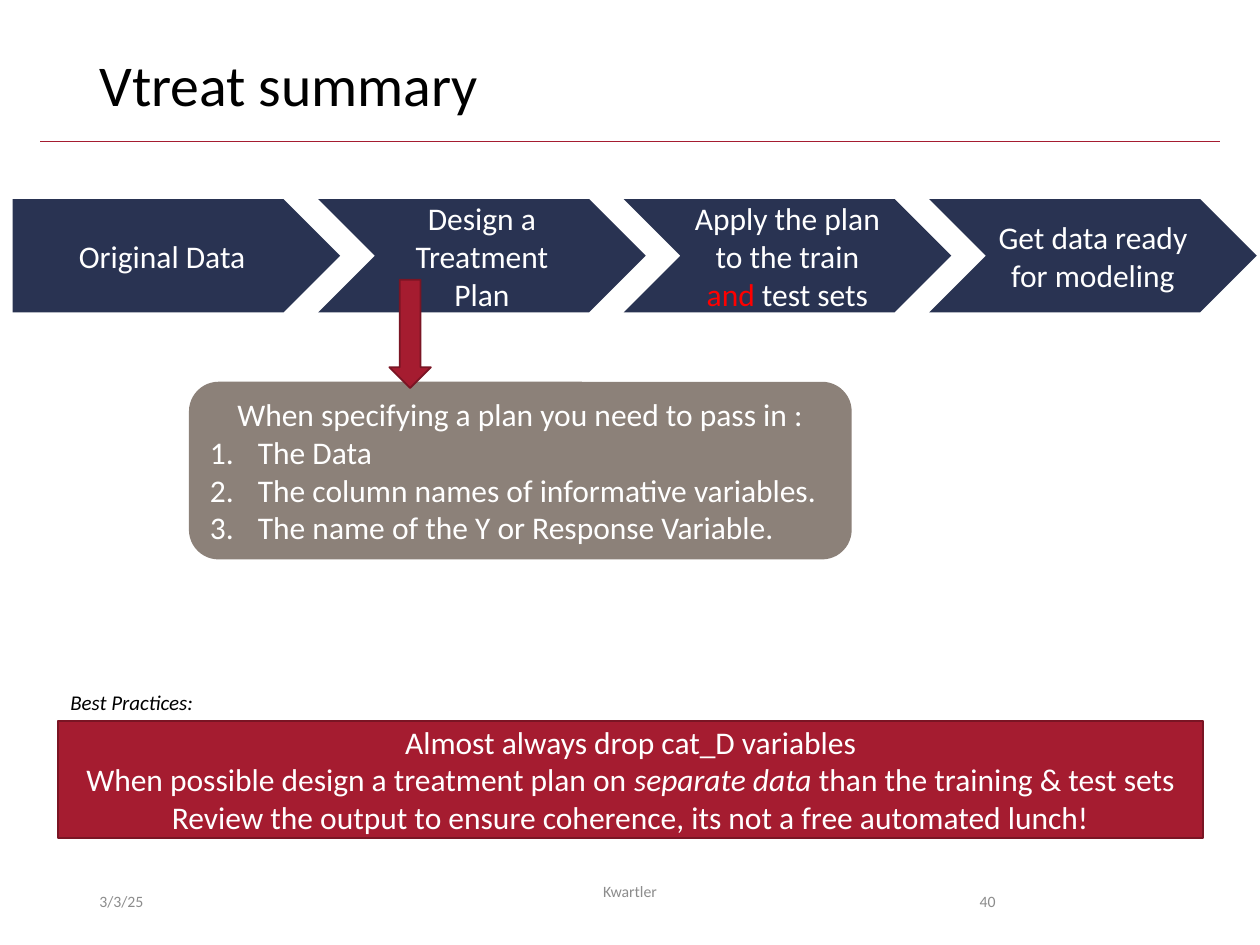
from lxml.etree import SubElement
from pptx import Presentation
from pptx.dml.color import RGBColor
from pptx.enum.shapes import MSO_CONNECTOR, MSO_SHAPE
from pptx.enum.text import MSO_ANCHOR, PP_ALIGN
from pptx.oxml.ns import qn
from pptx.util import Inches, Pt

COLORS = {"navy": "293352", "crimson": "A51C30", "dark crimson": "7A1524",
          "taupe": "8C8179", "white": "FFFFFF", "black": "000000",
          "gray": "8C8C8C", "red": "FF0000"}

# A paragraph is a list of (text, style) runs.
STEPS = [
    [("Original Data", {})],
    [("Design a Treatment Plan", {})],
    [("Apply the plan to the train ", {}), ("and", {"color": "red"}), (" test sets", {})],
    [("Get data ready for modeling", {})],
]
PLAN_INTRO = "When specifying a plan you need to pass in :"
PLAN_INPUTS = ["The Data", "The column names of informative variables.",
               "The name of the Y or Response Variable."]
BEST_PRACTICES = [
    [("Almost always drop cat_D variables", {})],
    [("When possible design a treatment plan on ", {}),
     ("separate data ", {"italic": True}),
     ("than the training & test sets", {})],
    [("Review the output to ensure coherence, its not a free automated lunch!", {})],
]
# text, box, size, color, alignment, anchor, wrap, italic
LABELS = [
    ("Vtreat summary", (0.69, 0.4, 8.62, 0.65), 33, "black", PP_ALIGN.LEFT, MSO_ANCHOR.TOP, True, False),
    ("Best Practices:", (0.46, 5.42, 1.19, 0.3), 12, "black", PP_ALIGN.LEFT, MSO_ANCHOR.TOP, False, True),
    ("3/3/25", (0.69, 6.95, 2.25, 0.4), 9, "gray", PP_ALIGN.LEFT, MSO_ANCHOR.MIDDLE, True, False),
    ("Kwartler", (3.31, 6.95, 3.38, 0.4), 9, "gray", PP_ALIGN.CENTER, MSO_ANCHOR.TOP, True, False),
    ("40", (7.06, 6.95, 0.94, 0.4), 9, "gray", PP_ALIGN.RIGHT, MSO_ANCHOR.MIDDLE, True, False),
]
STEP_LEFT, STEP_TOP, STEP_WIDTH, STEP_HEIGHT, STEP_PITCH = 0.1, 1.58, 2.6, 0.9, 2.425


def rgb(name):
    return RGBColor.from_string(COLORS[name])


def write(frame, paragraphs, size=18, color="white", align=PP_ALIGN.CENTER,
          anchor=MSO_ANCHOR.MIDDLE, wrap=True):
    frame.word_wrap = wrap
    frame.vertical_anchor = anchor
    for index, runs in enumerate(paragraphs):
        paragraph = frame.add_paragraph() if index else frame.paragraphs[0]
        paragraph.alignment = align
        for text, style in runs:
            run = paragraph.add_run()
            run.text = text
            run.font.name = "Calibri"
            run.font.size = Pt(size)
            run.font.italic = style.get("italic", False)
            run.font.color.rgb = rgb(style.get("color", color))


def add_block(slide, kind, box, fill, outline=None):
    block = slide.shapes.add_shape(kind, *map(Inches, box))
    block.shadow.inherit = False
    block.fill.solid()
    block.fill.fore_color.rgb = rgb(fill)
    if outline:
        block.line.color.rgb = rgb(outline)
        block.line.width = Pt(1)
    else:
        block.line.fill.background()
    return block


def number(paragraph):
    paragraph.alignment = PP_ALIGN.LEFT
    properties = paragraph._p.get_or_add_pPr()
    properties.set("marL", str(Inches(0.38)))
    properties.set("indent", str(-Inches(0.38)))
    SubElement(properties, qn("a:buFont"), typeface="+mj-lt")
    SubElement(properties, qn("a:buAutoNum"), type="arabicPeriod")


def main():
    deck = Presentation()
    deck.slide_width, deck.slide_height = Inches(10), Inches(7.5)
    slide = deck.slides.add_slide(deck.slide_layouts[6])

    title_rule = slide.shapes.add_connector(
        MSO_CONNECTOR.STRAIGHT, Inches(0.32), Inches(1.12), Inches(9.68), Inches(1.12))
    title_rule.line.color.rgb = rgb("crimson")
    title_rule.line.width = Pt(0.5)
    SubElement(title_rule._element.spPr, qn("a:effectLst"))

    for index, step in enumerate(STEPS):
        kind = MSO_SHAPE.CHEVRON if index else MSO_SHAPE.PENTAGON
        box = (STEP_LEFT + index * STEP_PITCH, STEP_TOP, STEP_WIDTH, STEP_HEIGHT)
        write(add_block(slide, kind, box, "navy").text_frame, [step])

    practices = add_block(slide, MSO_SHAPE.RECTANGLE, (0.46, 5.72, 9.09, 0.93),
                          "crimson", "dark crimson")
    write(practices.text_frame, BEST_PRACTICES)

    plan = add_block(slide, MSO_SHAPE.ROUNDED_RECTANGLE, (1.5, 3.03, 5.26, 1.41), "taupe")
    write(plan.text_frame, [[(line, {})] for line in [PLAN_INTRO, *PLAN_INPUTS]])
    for paragraph in plan.text_frame.paragraphs[1:]:
        number(paragraph)

    add_block(slide, MSO_SHAPE.DOWN_ARROW, (3.09, 2.22, 0.33, 0.86), "crimson", "dark crimson")

    for text, box, size, color, align, anchor, wrap, italic in LABELS:
        label = slide.shapes.add_textbox(*map(Inches, box))
        write(label.text_frame, [[(text, {"italic": italic})]], size, color, align, anchor, wrap)
        if size == 33:
            label.text_frame.paragraphs[0].line_spacing = 0.9

    deck.save("out.pptx")


if __name__ == "__main__":
    main()
